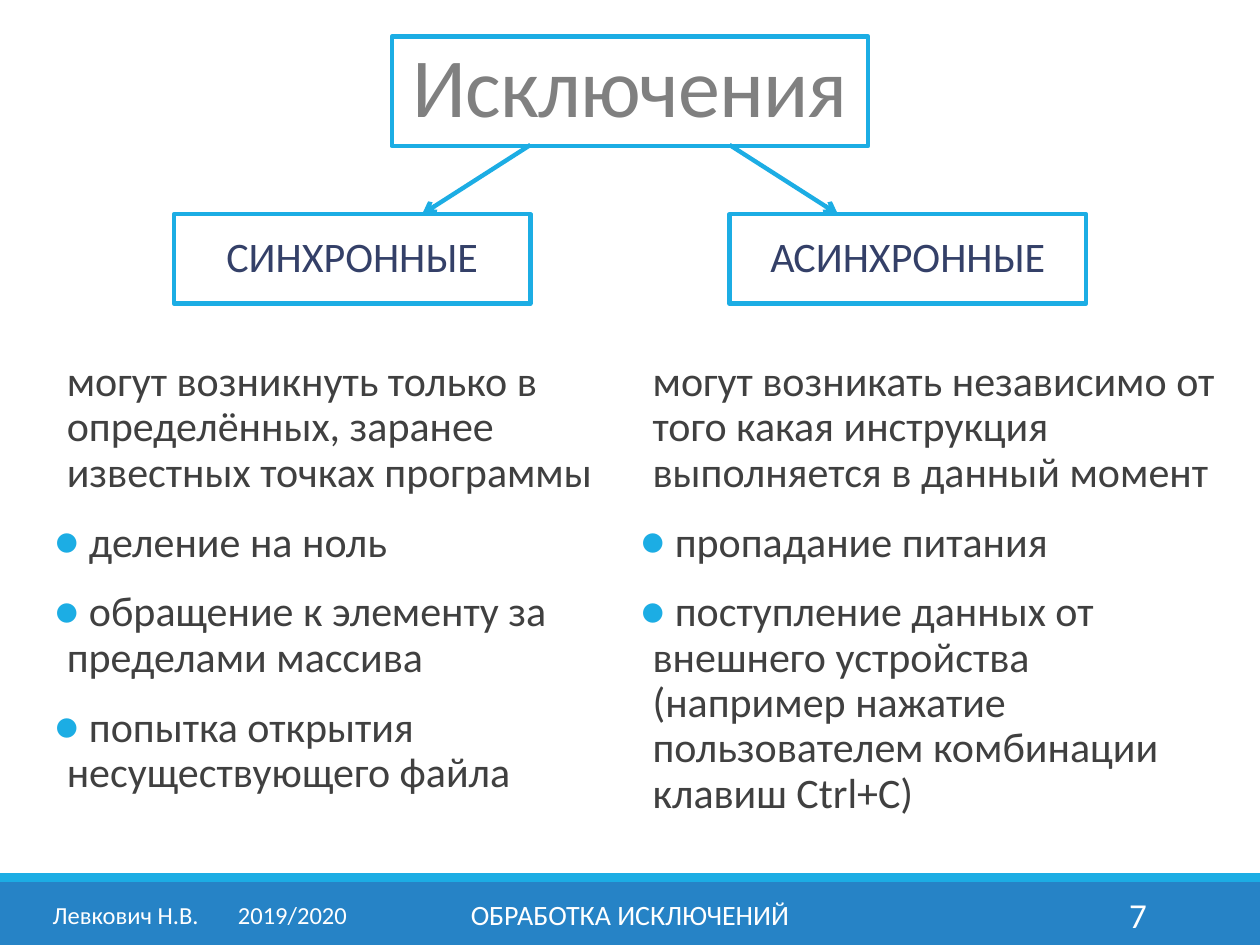
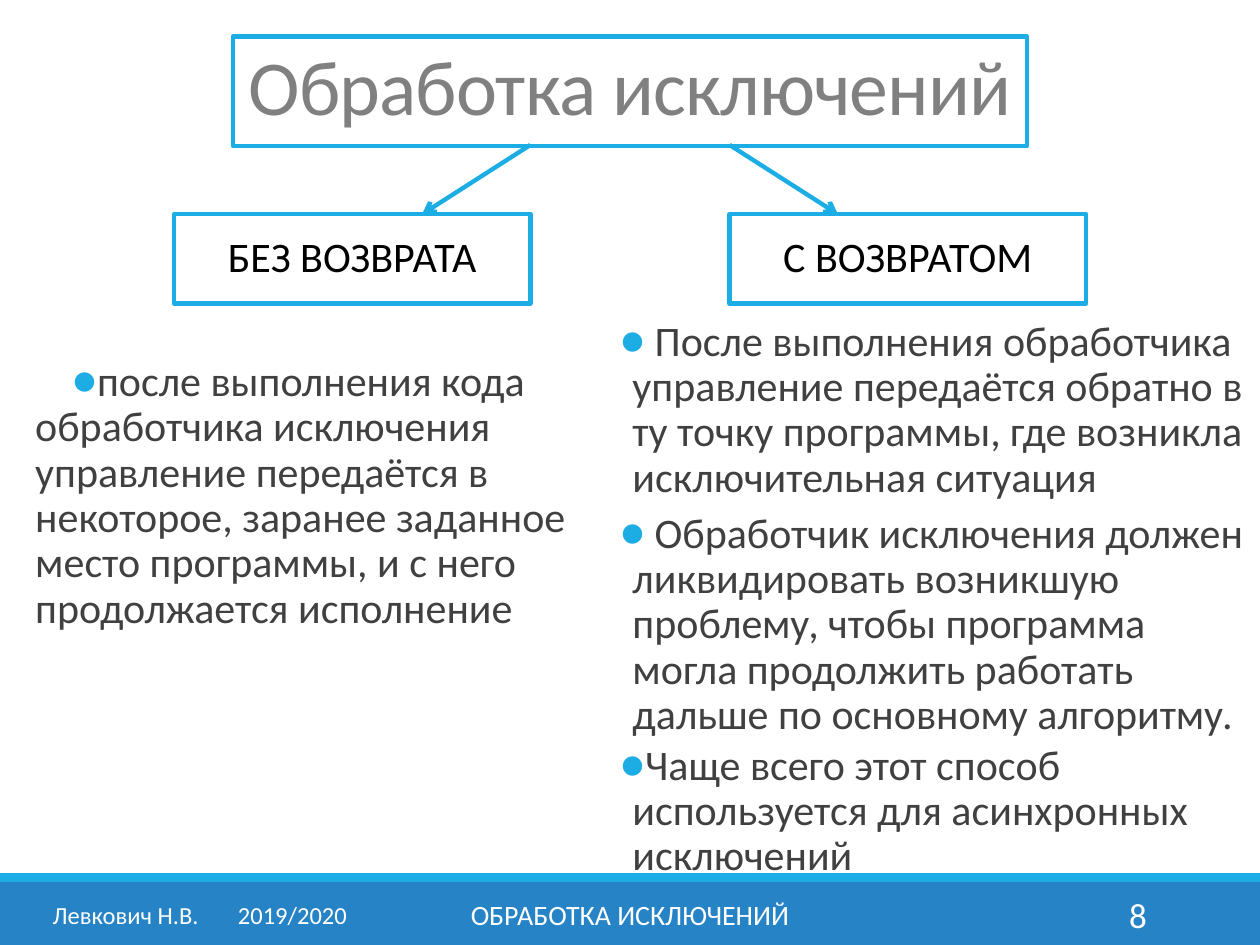
"""Build two slides that split exceptions and their handling into two branches each."""
from lxml.etree import SubElement
from pptx import Presentation
from pptx.dml.color import RGBColor
from pptx.enum.shapes import MSO_CONNECTOR as CONNECTOR, MSO_SHAPE as SHAPE
from pptx.enum.text import MSO_ANCHOR as ANCHOR, PP_ALIGN as ALIGN
from pptx.oxml.ns import qn
from pptx.util import Inches, Pt

FONT = "Calibri"
ACCENT = RGBColor(0x1C, 0xAD, 0xE4)
BAND = RGBColor(0x26, 0x83, 0xC6)
NAVY = RGBColor(0x34, 0x40, 0x68)
BLACK = RGBColor(0, 0, 0)
GREY = RGBColor(0x80, 0x80, 0x80)
BODY = RGBColor(0x40, 0x40, 0x40)
WHITE = RGBColor(0xFF, 0xFF, 0xFF)

SLIDE_WIDTH = 10
CENTER = SLIDE_WIDTH / 2
BRANCH_LEFTS = (1.38, 5.79)
STROKE = Pt(2.5)


def write_paragraph(paragraph, text, size=24, color=BODY, align=ALIGN.LEFT,
                    line=1.0, before=0, after=0, tracking=None):
    """Fill a paragraph with text in the given format."""
    paragraph.text = text
    paragraph.alignment = align
    paragraph.line_spacing = line
    paragraph.space_before = Pt(before)
    paragraph.space_after = Pt(after)
    for run in paragraph.runs:
        run.font.name = FONT
        run.font.size = Pt(size)
        run.font.color.rgb = color
        if tracking is not None:
            run.font._element.set("spc", str(round(tracking * 100)))


def set_indent(paragraph, margin, indent, bullet=True):
    """Indent a paragraph and give it a round accent bullet if asked."""
    properties = paragraph._p.get_or_add_pPr()
    properties.set("marL", str(Inches(margin)))
    properties.set("indent", str(Inches(indent)))
    if bullet:
        bullet_color = SubElement(properties, qn("a:buClr"))
        SubElement(bullet_color, qn("a:srgbClr"), val=str(ACCENT))
        SubElement(properties, qn("a:buFont"), typeface=FONT)
        SubElement(properties, qn("a:buChar"), char="●")


def set_tab(paragraph, position):
    """Add a left tab stop to a paragraph."""
    tabs = SubElement(paragraph._p.get_or_add_pPr(), qn("a:tabLst"))
    SubElement(tabs, qn("a:tab"), pos=str(Inches(position)), algn="l")


def add_box(slide, left, top, width, height, fill=None, outline=None):
    """Add a rectangle with an optional fill and outline."""
    box = slide.shapes.add_shape(
        SHAPE.RECTANGLE, Inches(left), Inches(top), Inches(width), Inches(height))
    box.shadow.inherit = False
    if fill is None:
        box.fill.background()
    else:
        box.fill.solid()
        box.fill.fore_color.rgb = fill
    if outline is None:
        box.line.fill.background()
    else:
        box.line.color.rgb = outline
        box.line.width = STROKE
    return box


def add_label(slide, text, left, top, width, height, **text_format):
    """Add an outlined rectangle with a centred line of text."""
    label = add_box(slide, left, top, width, height, outline=ACCENT)
    label.text_frame.vertical_anchor = ANCHOR.MIDDLE
    label.text_frame.word_wrap = True
    write_paragraph(label.text_frame.paragraphs[0], text, align=ALIGN.CENTER, **text_format)


def add_text_area(slide, left, top, width, height, anchor=ANCHOR.TOP):
    """Add an empty wrapping text box and return its text frame."""
    area = slide.shapes.add_textbox(
        Inches(left), Inches(top), Inches(width), Inches(height)).text_frame
    area.word_wrap = True
    area.vertical_anchor = anchor
    return area


def add_column(slide, place, points, intro=None, margin=0.1, indent=-0.1,
               befores=(12, 12, 12), after=2):
    """Add a column with an optional plain intro followed by bulleted points."""
    column = add_text_area(slide, *place)
    column.margin_left = column.margin_right = 0
    rows = [(point, before, True) for point, before in zip(points, befores)]
    if intro:
        rows.insert(0, (intro, 12, False))
    for index, (text, before, bullet) in enumerate(rows):
        paragraph = column.add_paragraph() if index else column.paragraphs[0]
        write_paragraph(paragraph, text, line=0.9, before=before, after=after)
        set_indent(paragraph, margin, indent if bullet else 0, bullet)


def add_arrow(slide, start, end):
    """Add a straight accent arrow between two points."""
    arrow = slide.shapes.add_connector(
        CONNECTOR.STRAIGHT, *(Inches(value) for value in (*start, *end)))
    arrow.line.color.rgb = ACCENT
    arrow.line.width = STROKE
    SubElement(arrow.line._get_or_add_ln(), qn("a:tailEnd"), type="arrow")
    SubElement(arrow._element.spPr, qn("a:effectLst"))


def add_footer(slide, number):
    """Add the bottom bands with author, subject and slide number."""
    add_box(slide, 0, 7, SLIDE_WIDTH, 0.5, fill=BAND)
    add_box(slide, 0, 6.93, SLIDE_WIDTH, 0.07, fill=ACCENT)
    entries = (
        ("Левкович Н.В.\t2019/2020", 0.32, 2.61, 14, ALIGN.LEFT),
        ("ОБРАБОТКА ИСКЛЮЧЕНИЙ", 3.02, 3.96, 16, ALIGN.CENTER),
        (str(number), 8.12, 1.08, 20, ALIGN.RIGHT),
    )
    for text, left, width, size, align in entries:
        entry = add_text_area(slide, left, 7.06, width, 0.4, ANCHOR.MIDDLE).paragraphs[0]
        write_paragraph(entry, text, size=size, color=WHITE, align=align)
        if "\t" in text:
            set_tab(entry, 1.47)


def add_branch_slide(deck, number, title, title_width, title_size, branches, branch_color):
    """Add a slide whose title points to two branch labels."""
    slide = deck.slides.add_slide(deck.slide_layouts[6])
    add_footer(slide, number)
    add_label(slide, title, CENTER - title_width / 2, 0.29, title_width, 0.87,
              size=title_size, color=GREY, line=0.85, tracking=-0.5)
    for branch, left, side in zip(branches, BRANCH_LEFTS, (-1, 1)):
        add_label(slide, branch, left, 1.7, 2.83, 0.71, color=branch_color,
                  line=0.9, before=12, after=2)
        add_arrow(slide, (CENTER + side * 0.79, 1.15), (CENTER + side * 1.65, 1.7))
    return slide


def main():
    """Build and save the deck."""
    deck = Presentation()
    deck.slide_width, deck.slide_height = Inches(SLIDE_WIDTH), Inches(7.5)

    kinds = add_branch_slide(deck, 7, "Исключения", 3.78, 48,
                             ("СИНХРОННЫЕ", "АСИНХРОННЫЕ"), NAVY)
    add_column(
        kinds, (0.43, 2.81, 4.41, 3.7),
        (" деление на ноль",
         " обращение к элементу за пределами массива",
         " попытка открытия несуществующего файла"),
        intro="могут возникнуть только в определённых, заранее известных точках программы")
    add_column(
        kinds, (5.08, 2.81, 4.7, 3.92),
        (" пропадание питания",
         " поступление данных от внешнего устройства\n"
         "(например нажатие пользователем комбинации клавиш Ctrl+C)"),
        intro="могут возникать независимо от того какая инструкция "
              "выполняется в данный момент")

    handling = add_branch_slide(deck, 8, "Обработка исключений", 6.3, 44.4,
                                ("БЕЗ ВОЗВРАТА", "С ВОЗВРАТОМ"), BLACK)
    add_column(
        handling, (0.28, 2.81, 4.57, 3.7),
        ("после выполнения кода обработчика исключения управление передаётся "
         "в некоторое, заранее заданное место программы, и с него "
         "продолжается исполнение",),
        margin=0, indent=0.29)
    add_column(
        handling, (4.92, 2.49, 4.96, 4.17),
        (" После выполнения обработчика управление передаётся обратно в ту точку "
         "программы, где возникла исключительная ситуация",
         " Обработчик исключения должен ликвидировать возникшую проблему, чтобы "
         "программа могла продолжить работать дальше по основному алгоритму.",
         "Чаще всего этот способ используется для асинхронных исключений"),
        befores=(6, 6, 3), after=0)

    deck.save("out.pptx")


if __name__ == "__main__":
    main()
